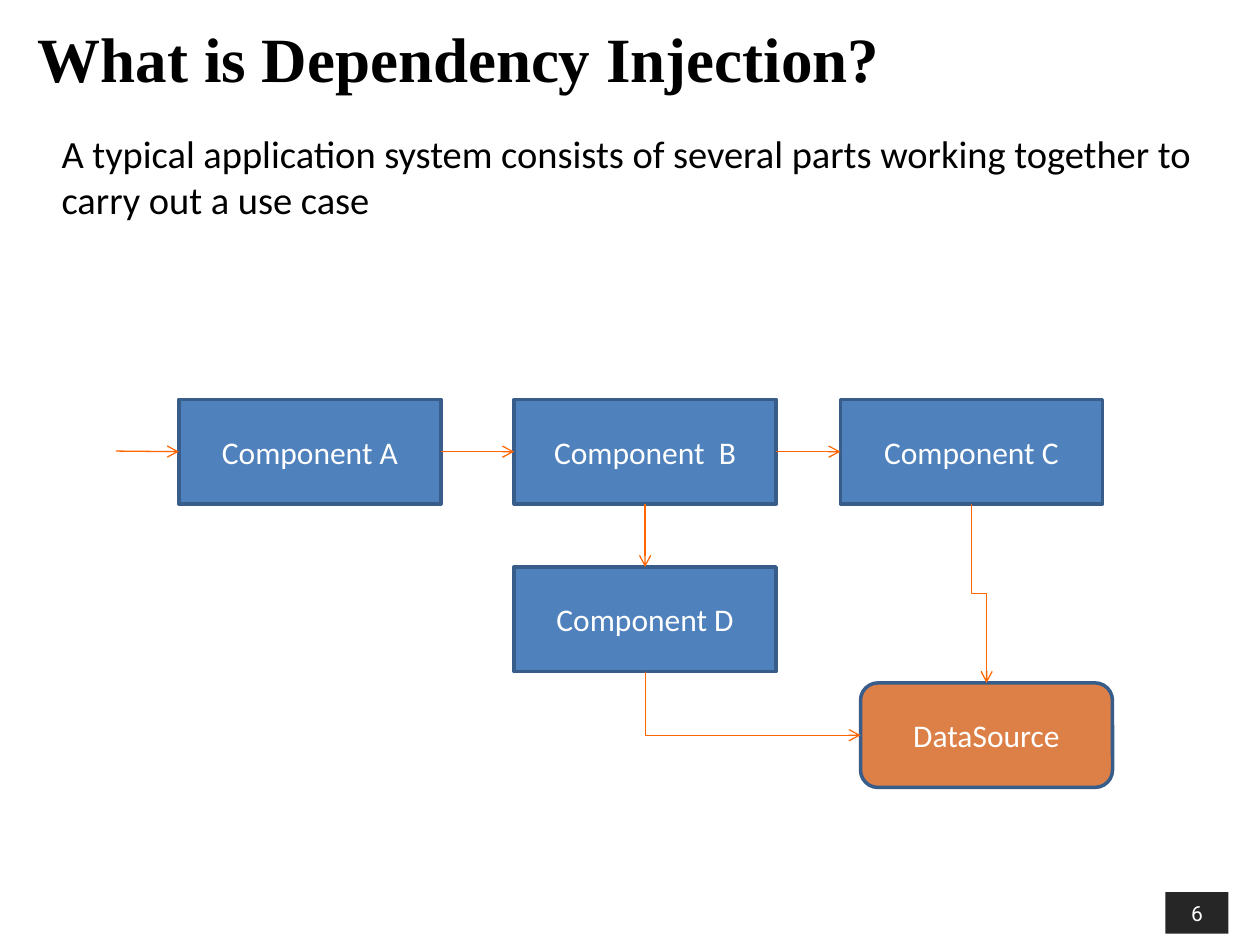
from lxml import etree
from pptx import Presentation
from pptx.dml.color import RGBColor
from pptx.enum import shapes, text
from pptx.oxml.ns import qn
from pptx.util import Inches, Pt

COLORS = {
    "black": "000000",
    "white": "FFFFFF",
    "component": "4F81BD",
    "source": "DD8047",
    "outline": "385D8A",
    "arrow": "FF6600",
    "badge": "262626",
}
TOP, LEFT, BOTTOM, RIGHT = range(4)  # connection sites
RECTANGLE = shapes.MSO_SHAPE.RECTANGLE
ROUNDED = shapes.MSO_SHAPE.ROUNDED_RECTANGLE


def rgb(name):
    return RGBColor.from_string(COLORS[name])


class SlideBuilder:
    """Holds the style and the current slide."""

    font = "Calibri"

    def __init__(self, presentation):
        self.slide = presentation.slides.add_slide(presentation.slide_layouts[5])

    def set_text(self, shape, words, size, color, font=None, bold=False,
                 align=text.PP_ALIGN.LEFT, anchor=text.MSO_ANCHOR.MIDDLE):
        frame = shape.text_frame
        frame.text = words
        frame.word_wrap = True
        frame.auto_size = text.MSO_AUTO_SIZE.NONE
        frame.vertical_anchor = anchor
        paragraph = frame.paragraphs[0]
        paragraph.alignment = align
        paragraph.font.name = font or self.font
        paragraph.font.size = Pt(size)
        paragraph.font.bold = bold
        paragraph.font.color.rgb = rgb(color)

    def title(self, words, left, top, width, height):
        shape = self.slide.shapes.title
        shape.left, shape.top = Inches(left), Inches(top)
        shape.width, shape.height = Inches(width), Inches(height)
        self.set_text(shape, words, 36, "black", "Times New Roman", bold=True)

    def body(self, words, left, top, width, height):
        shape = self.slide.shapes.add_textbox(
            Inches(left), Inches(top), Inches(width), Inches(height))
        self.set_text(shape, words, 22, "black", anchor=text.MSO_ANCHOR.TOP)

    def box(self, words, left, top, width, height, fill="component",
            kind=RECTANGLE, outline="outline", size=18, font=None):
        shape = self.slide.shapes.add_shape(
            kind, Inches(left), Inches(top), Inches(width), Inches(height))
        shape.shadow.inherit = False
        shape.fill.solid()
        shape.fill.fore_color.rgb = rgb(fill)
        if outline:
            shape.line.color.rgb = rgb(outline)
            shape.line.width = Pt(2)
        else:
            shape.line.fill.background()
        self.set_text(shape, words, size, "white", font, align=text.PP_ALIGN.CENTER)
        return shape

    def arrow(self, target, target_site, source=None, source_site=RIGHT,
              start=(0, 0), kind=shapes.MSO_CONNECTOR.STRAIGHT):
        x, y = (Inches(value) for value in start)
        connector = self.slide.shapes.add_connector(kind, x, y, x, y)
        if source is not None:
            connector.begin_connect(source, source_site)
        connector.end_connect(target, target_site)
        connector.line.color.rgb = rgb("arrow")
        connector.line.width = Pt(0.75)
        properties = connector._element.spPr
        etree.SubElement(properties.find(qn("a:ln")), qn("a:tailEnd"), type="arrow")
        etree.SubElement(properties, qn("a:effectLst"))
        return connector

    def elbow(self, source, target, target_site, preset):
        """Arrow that leaves the bottom of source downwards, then turns right."""
        connector = self.arrow(target, target_site, source, BOTTOM,
                               kind=shapes.MSO_CONNECTOR.ELBOW)
        x, y = connector.begin_x, connector.begin_y
        across, down = connector.end_x - x, connector.end_y - y
        # A quarter turn swaps width and height around the same centre
        connector.left = x + (across - down) // 2
        connector.top = y + (down - across) // 2
        connector.width, connector.height = down, across
        properties = connector._element.spPr
        transform = properties.find(qn("a:xfrm"))
        transform.set("rot", "16200000")
        transform.set("flipH", "1")
        properties.find(qn("a:prstGeom")).set("prst", preset)


def main():
    presentation = Presentation()
    presentation.slide_width, presentation.slide_height = Inches(10), Inches(7.5)
    builder = SlideBuilder(presentation)

    # Page number, title and introduction
    builder.box("6", 9.25, 7.08, 0.5, 0.33, fill="badge", outline=None,
                size=12, font="Roboto")
    builder.title("What is Dependency Injection?", 0.2, 0.15, 9.65, 0.61)
    builder.body("A typical application system consists of several parts working "
                 "together to carry out a use case", 0.39, 0.98, 9.45, 5.76)

    # Components and data source
    width, height, row = 2.08, 0.83, 3.17
    component_a = builder.box("Component A", 1.42, row, width, height)
    component_b = builder.box("Component  B", 4.08, row, width, height)
    component_c = builder.box("Component C", 6.67, row, width, height)
    component_d = builder.box("Component D", 4.08, 4.5, width, height)
    source = builder.box("DataSource", 6.83, 5.42, 2, height, "source", ROUNDED)

    # Call flow
    builder.arrow(component_a, LEFT, start=(0.92, 3.58))
    builder.arrow(component_b, LEFT, component_a)
    builder.arrow(component_c, LEFT, component_b)
    builder.arrow(component_d, TOP, component_b, BOTTOM)
    builder.elbow(component_d, source, LEFT, "bentConnector2")
    builder.elbow(component_c, source, TOP, "bentConnector3")

    presentation.save("out.pptx")


if __name__ == "__main__":
    main()
